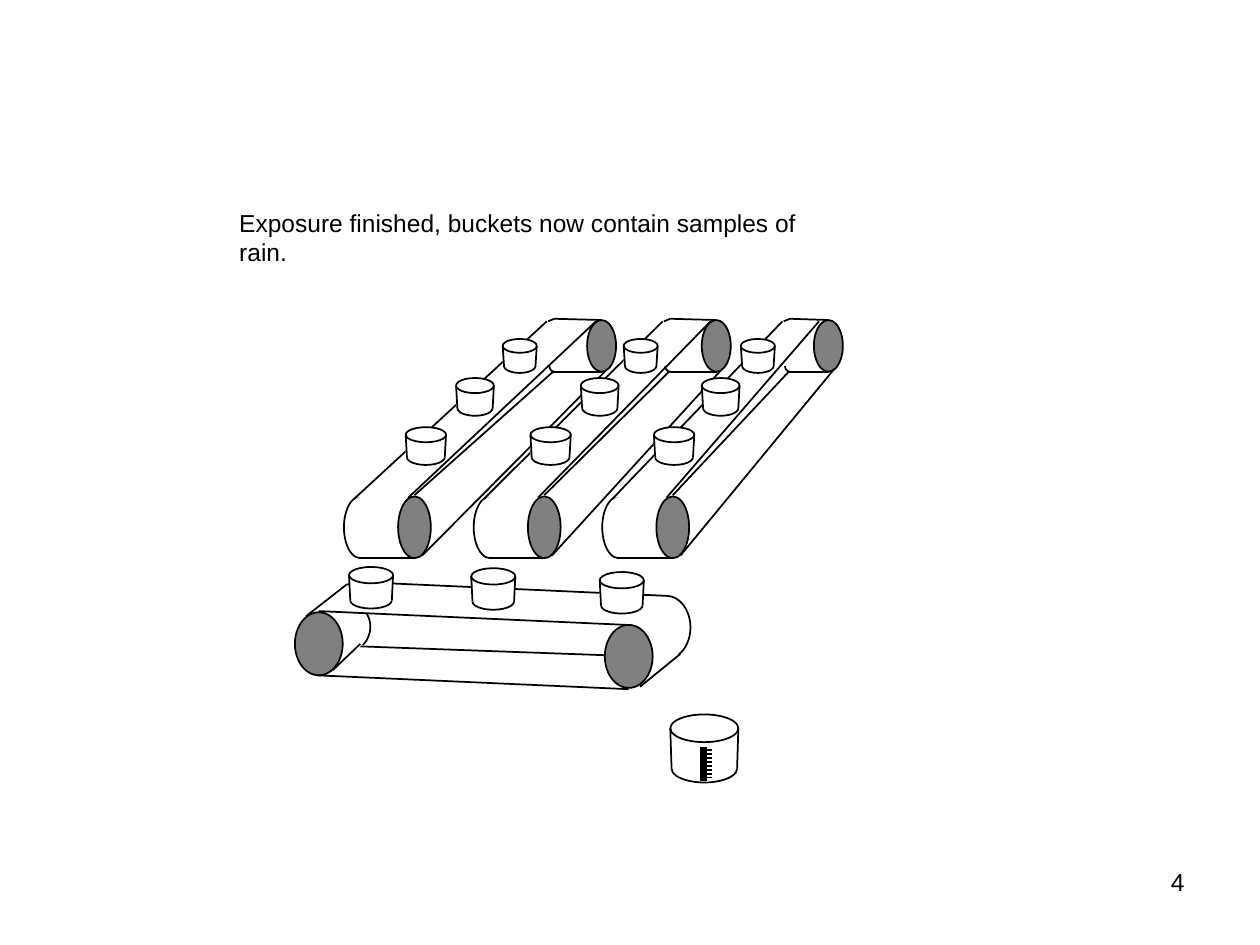
"""Build the slide showing rain-sample buckets on conveyor belts."""
import pptx
import pptx.dml.color
import pptx.enum.shapes
import pptx.enum.text
import pptx.oxml.xmlchemy
import pptx.util
from lxml import etree

COLORS = {"ink": "000000", "paper": "FFFFFF", "roller": "808080"}
PALETTE = {name: pptx.dml.color.RGBColor.from_string(value) for name, value in COLORS.items()}
SHAPES = pptx.enum.shapes.MSO_SHAPE
DRAWING = "http://schemas.openxmlformats.org/drawingml/2006/main"

presentation = pptx.Presentation()
presentation.slide_width = pptx.util.Inches(10)
presentation.slide_height = pptx.util.Inches(7.5)
COLUMN = presentation.slide_width // 1000
ROW = presentation.slide_height // 750
slide = presentation.slides.add_slide(presentation.slide_layouts[6])


def draw_line(parent, x1, y1, x2, y2, weight=1):
    """Draw a black line between two grid points."""
    connector = parent.shapes.add_connector(
        pptx.enum.shapes.MSO_CONNECTOR.STRAIGHT,
        round(x1 * COLUMN), round(y1 * ROW), round(x2 * COLUMN), round(y2 * ROW))
    connector.line.color.rgb = PALETTE["ink"]
    connector.line.width = pptx.util.Pt(weight)
    etree.SubElement(connector._element.spPr, f"{{{DRAWING}}}effectLst")


def draw_shape(parent, kind, x, y, width, height, fill=None, outlined=True, angles=()):
    """Draw a preset shape on the grid, with optional arc angles."""
    shape = parent.shapes.add_shape(
        kind, round(x * COLUMN), round(y * ROW), round(width * COLUMN), round(height * ROW))
    shape.shadow.inherit = False
    for index, angle in enumerate(angles):
        shape.adjustments[index] = angle * 0.6
    if fill:
        shape.fill.solid()
        shape.fill.fore_color.rgb = PALETTE[fill]
    else:
        shape.fill.background()
    if outlined:
        shape.line.color.rgb = PALETTE["ink"]
        shape.line.width = pptx.util.Pt(1)
    else:
        shape.line.fill.background()


belts = slide.shapes.add_group_shape()
for front, back, back_left, crest in [(521, 646, 621, 650), (419, 557, 526, 564), (316, 466, 434, 473)]:
    draw_line(belts, front + 8, 395, crest, 255)
    draw_shape(belts, SHAPES.OVAL, front, 394, 26, 49, "roller")
    draw_shape(belts, SHAPES.OVAL, front - 43, 394, 26, 49)
    draw_shape(belts, SHAPES.RECTANGLE, front - 30, 390, 23, 60, "paper", False)
    draw_line(belts, front + 13, 443, front - 31, 443)
    draw_shape(belts, SHAPES.RECTANGLE, front - 42, 388, 18, 7, "paper", False)
    draw_line(belts, front - 35, 396, back_left, 255)
    draw_line(belts, front + 19, 441, back + 16, 293)
    draw_shape(belts, SHAPES.OVAL, back, 254, 23, 41, "roller")
    draw_line(belts, back + 11, 254, back_left + 6, 253)
    draw_line(belts, back_left + 1, 255, back_left + 6, 253)
    draw_line(belts, back + 12, 295, back_left + 5, 295)
    draw_shape(belts, SHAPES.ARC, back_left + 2, 286, 8, 9, angles=(90, 180))
    draw_line(belts, back_left + 5, 295, front + 13, 393)

collector = slide.shapes.add_group_shape()
draw_shape(collector, SHAPES.OVAL, 234, 486, 38, 50, "roller")
draw_line(collector, 243, 489, 275, 464)
draw_line(collector, 275, 464, 287, 462)
draw_shape(collector, SHAPES.OVAL, 510, 473, 38, 50)
draw_shape(collector, SHAPES.RECTANGLE, 503, 466, 26, 69, "paper", False)
draw_shape(collector, SHAPES.OVAL, 480, 496, 38, 50, "roller")
draw_line(collector, 531, 473, 287, 462)
draw_shape(collector, SHAPES.RECTANGLE, 523, 514, 15, 24, "paper", False)
for edge in [(508, 545, 540, 519), (499, 547, 252, 536), (286, 513, 480, 520), (264, 532, 286, 511)]:
    draw_line(collector, *edge)
draw_shape(collector, SHAPES.ARC, 253, 477, 41, 41, angles=(315, 45))
draw_shape(collector, SHAPES.RECTANGLE, 283, 480, 13, 7, "paper", False)
draw_line(collector, 498, 496, 253, 485)

bucket_sizes = [
    (32, 12, 18, [(322, 339), (519, 339), (421, 339)]),
    (30, 12, 18, [(557, 300), (461, 300), (362, 300)]),
    (27, 11, 16, [(399, 269), (495, 269), (588, 269)]),
    (35, 13, 20, [(277, 450), (374, 451), (476, 454)]),
    (54, 22, 32, [(532, 567)]),
]
for width, rim, wall, places in bucket_sizes:
    for left, top in places:
        bucket = slide.shapes.add_group_shape()
        middle = top + rim / 2
        draw_shape(bucket, SHAPES.OVAL, left + 1, top + wall, width - 2, rim)
        draw_shape(bucket, SHAPES.RECTANGLE, left, middle, width, wall, "paper", False)
        draw_shape(bucket, SHAPES.OVAL, left, top, width, rim, "paper")
        draw_line(bucket, left, middle, left + 1, middle + wall)
        draw_line(bucket, left + width, middle, left + width - 1, middle + wall)

gauge = slide.shapes.add_group_shape()
draw_line(gauge, 558, 593, 558, 620, 4)
for tick in range(8):
    draw_line(gauge, 559, 595.5 + 3.1 * tick, 565, 595.5 + 3.1 * tick)

font_format = {"name": "Arial", "size": pptx.util.Pt(14)}
alignments = pptx.enum.text.PP_ALIGN
sizing = pptx.enum.text.MSO_AUTO_SIZE
texts = [
    ("4", (717, 683, 233, 52), alignments.RIGHT,
     {"word_wrap": True, "auto_size": sizing.NONE}),
    ("Exposure finished, buckets now contain samples of rain.", (180, 160, 505, 34), alignments.LEFT,
     {"word_wrap": False, "auto_size": sizing.SHAPE_TO_FIT_TEXT}),
]
for text, (left, top, width, height), alignment, frame_format in texts:
    text_box = slide.shapes.add_textbox(left * COLUMN, top * ROW, width * COLUMN, height * ROW)
    for name, value in frame_format.items():
        setattr(text_box.text_frame, name, value)
    paragraph = text_box.text_frame.paragraphs[0]
    paragraph.alignment = alignment
    run = paragraph.add_run()
    run.text = text
    for name, value in font_format.items():
        setattr(run.font, name, value)
    run.font.color.rgb = PALETTE["ink"]

presentation.save("out.pptx")
